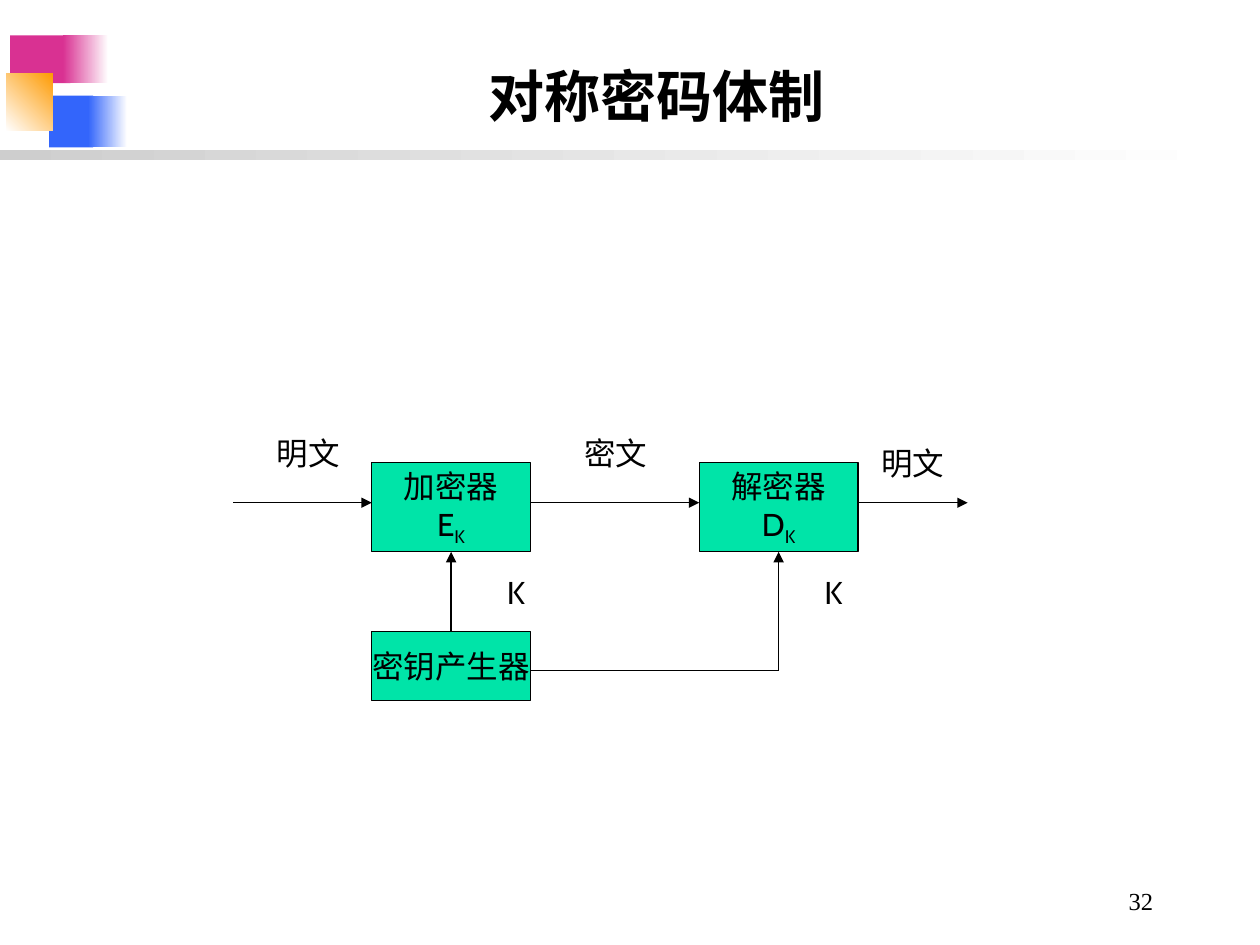
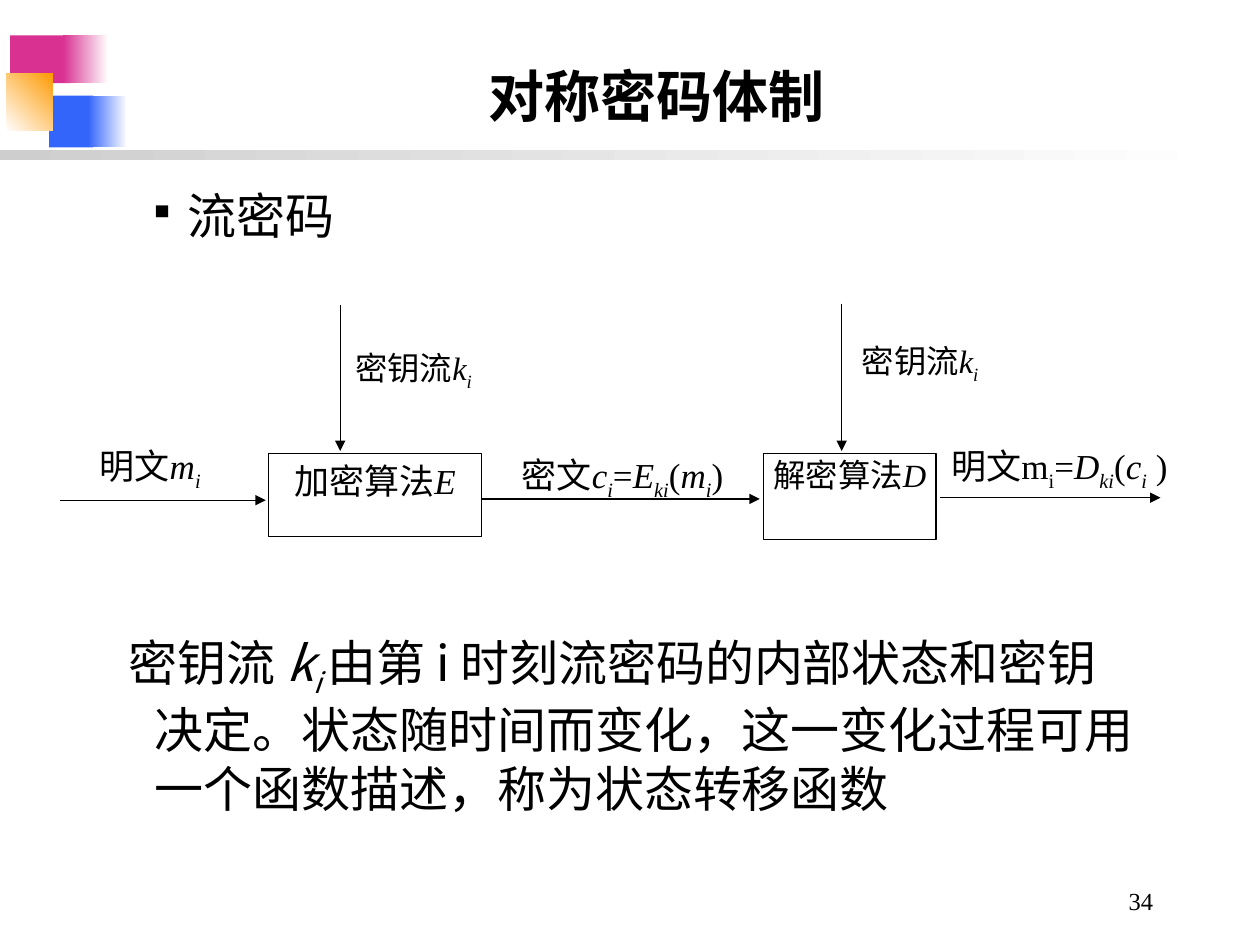
from lxml.etree import SubElement
from pptx import Presentation
from pptx.dml.color import RGBColor
from pptx.enum.shapes import MSO_CONNECTOR, MSO_SHAPE
from pptx.enum.text import MSO_ANCHOR, PP_ALIGN
from pptx.oxml.ns import qn
from pptx.util import Inches, Pt

BLACK = RGBColor(0, 0, 0)
WHITE = RGBColor(255, 255, 255)
PINK = RGBColor(0xD9, 0x31, 0x92)
BLUE = RGBColor(0x33, 0x65, 0xFB)
GOLD = RGBColor(0xFE, 0x9B, 0x03)
GREY = RGBColor(0xCE, 0xCE, 0xCE)
GREEN = RGBColor(0x00, 0xE4, 0xA8)

SERIF = "Times New Roman"
SANS = "Cabin"
HEAD = "Arial"
HAN = "Noto Sans CJK SC"

PLAIN, ITAL, SUB, ISUB = "", "i", "s", "is"


def place(box):
    return [Inches(n) for n in box]


def write(shape, lines, size, font, align=PP_ALIGN.CENTER, anchor=MSO_ANCHOR.TOP,
          inset=(0.1, 0.05), wrap=True, space=None, bold=False):
    frame = shape.text_frame
    frame.word_wrap = wrap
    frame.vertical_anchor = anchor
    frame.margin_left = frame.margin_right = Inches(inset[0])
    frame.margin_top = frame.margin_bottom = Inches(inset[1])
    for num, parts in enumerate(lines):
        para = frame.add_paragraph() if num else frame.paragraphs[0]
        para.alignment = align
        if space:
            para.line_spacing = space
        for text, style in parts:
            run = para.add_run()
            run.text = text
            face = run.font
            face.size, face.name, face.bold = Pt(size), font, bold
            face.italic = ITAL in style
            face.color.rgb = BLACK
            props = face._element
            SubElement(props, qn("a:ea")).set("typeface", HAN)
            if SUB in style:
                props.set("baseline", "-25000")
    return frame.paragraphs[0]


def add_text(slide, box, lines, size, font, **style):
    return write(slide.shapes.add_textbox(*place(box)), lines, size, font, **style)


def add_rect(slide, box, fill, fade=None, angle=0):
    rect = slide.shapes.add_shape(MSO_SHAPE.RECTANGLE, *place(box))
    rect.shadow.inherit = False
    rect.line.fill.background()
    if fade is None:
        rect.fill.solid()
        rect.fill.fore_color.rgb = fill
    else:
        rect.fill.gradient()
        rect.fill.gradient_angle = angle
        for stop, color in zip(rect.fill.gradient_stops, (fill, fade)):
            stop.color.rgb = color
    return rect


def add_node(slide, box, fill, lines, size, font, **style):
    node = add_rect(slide, box, fill)
    node.line.color.rgb = BLACK
    node.line.width = Pt(0.75)
    write(node, lines, size, font, **style)
    return node


def add_line(slide, start, end, arrow=True):
    line = slide.shapes.add_connector(MSO_CONNECTOR.STRAIGHT, *place(start + end))
    line.line.color.rgb = BLACK
    line.line.width = Pt(0.75)
    if arrow:
        SubElement(line.line._get_or_add_ln(), qn("a:tailEnd")).set("type", "triangle")
    SubElement(line._element.spPr, qn("a:effectLst"))
    return line


def add_base(deck, number):
    slide = deck.slides.add_slide(deck.slide_layouts[6])
    add_rect(slide, (0.08, 0.28, 0.48, 0.38), PINK)
    add_rect(slide, (0.5, 0.28, 0.36, 0.38), PINK, WHITE)
    add_rect(slide, (0.39, 0.76, 0.35, 0.41), BLUE)
    add_rect(slide, (0.7, 0.76, 0.31, 0.41), BLUE, WHITE)
    add_rect(slide, (0.05, 0.58, 0.37, 0.46), WHITE, GOLD, 45)
    add_rect(slide, (0, 1.19, 9.75, 0.08), GREY, WHITE)
    add_text(slide, (7.17, 6.98, 2.08, 0.36), [[(number, PLAIN)]], 14, SERIF,
             align=PP_ALIGN.RIGHT)
    add_text(slide, (0.92, 0.08, 8.58, 1), [[("对称密码体制", PLAIN)]], 32, HEAD,
             anchor=MSO_ANCHOR.BOTTOM, space=0.9, bold=True)
    return slide


def draw_keys(deck):
    slide = add_base(deck, "32")
    look = {"size": 18, "font": SANS, "anchor": MSO_ANCHOR.MIDDLE, "wrap": False}
    left, right, top, wide, high = 2.95, 5.55, 3.67, 1.26, 0.71
    flow, turn = 3.99, 5.32

    coders = []
    for x, name, sign in ((left, "加密器", "E"), (right, "解密器", "D")):
        lines = [[(name, PLAIN)], [(sign, PLAIN), ("K", SUB)]]
        coders.append(add_node(slide, (x, top, wide, high), GREEN, lines, **look))
    maker = add_node(slide, (left, 5.01, wide, 0.55), GREEN,
                     [[("密钥产生器", PLAIN)]], **look)

    for start, end in ((1.85, left), (left + wide, right), (right + wide, 7.68)):
        add_line(slide, (start, flow), (end, flow))
    mid = right + wide / 2
    rise = add_line(slide, (left + wide / 2, 5.01), (left + wide / 2, top + high))
    rise.begin_connect(maker, 0)
    rise.end_connect(coders[0], 2)
    add_line(slide, (left + wide, turn), (mid, turn), arrow=False)
    add_line(slide, (mid, turn), (mid, top + high)).end_connect(coders[1], 2)

    for x, y, text in ((2.09, 3.36, "明文"), (4.53, 3.36, "密文"), (6.89, 3.44, "明文"),
                       (3.74, 4.46, "K"), (6.26, 4.46, "K")):
        add_text(slide, (x, y, 0.71, 0.47), [[(text, PLAIN)]], **look)


def draw_stream(deck):
    slide = add_base(deck, "34")
    head = add_text(slide, (1.08, 1.48, 7.83, 0.7), [[("流密码", PLAIN)]], 28, HEAD,
                    align=PP_ALIGN.LEFT, space=0.9)
    head.space_before = Pt(10.5)
    props = head._p.get_or_add_pPr()
    props.set("marL", str(Inches(0.31)))
    props.set("indent", str(Inches(-0.31)))
    SubElement(SubElement(props, qn("a:buClr")), qn("a:srgbClr")).set("val", str(BLACK))
    SubElement(props, qn("a:buSzPct")).set("val", "75000")
    SubElement(props, qn("a:buChar")).set("char", "▪")

    for box, name, sign, size, space in (
            ((2.13, 3.6, 1.69, 0.66), "加密算法", "E", 20, None),
            ((6.06, 3.6, 1.37, 0.68), "解密算法", "D", 18.5, 0.9)):
        add_node(slide, box, WHITE, [[(name, PLAIN), (sign, ITAL)]], size, SERIF,
                 inset=(0.02, 0.05), space=space)

    for start, end in (((3.82, 3.96), (6.03, 3.96)), ((2.7, 2.42), (2.7, 3.58)),
                       ((6.68, 2.41), (6.68, 3.58)), ((0.48, 3.97), (2.11, 3.97)),
                       ((7.46, 3.95), (9.21, 3.95))):
        add_line(slide, start, end)

    key = [("密钥流", PLAIN), ("k", ITAL), ("i", ISUB)]
    plain = [("明文", PLAIN), ("m", ITAL), ("i", ISUB)]
    cipher = [("密文", PLAIN), ("c", ITAL), ("i", ISUB), ("=", PLAIN), ("E", ITAL),
              ("ki", ISUB), ("(", PLAIN), ("m", ITAL), ("i", ISUB), (")", PLAIN)]
    result = [("明文m", PLAIN), ("i", SUB), ("=", PLAIN), ("D", ITAL), ("ki", ISUB),
              ("(", PLAIN), ("c", ITAL), ("i", ISUB), (" )", PLAIN)]
    for box, parts, size, space in (
            ((0.79, 3.53, 1.02, 0.48), plain, 20, None),
            ((4.14, 3.6, 1.77, 0.48), cipher, 20, None),
            ((7.55, 3.53, 1.94, 0.55), result, 20, 0.96),
            ((2.82, 2.77, 1.06, 0.48), key, 18.5, 0.9),
            ((6.84, 2.71, 1.06, 0.48), key, 18.5, 0.9)):
        add_text(slide, box, [parts], size, SERIF, align=PP_ALIGN.JUSTIFY,
                 inset=(0, 0), space=space)

    note = [("密钥流 ", PLAIN), ("k", ITAL), ("i ", ISUB),
            ("由第 i 时刻流密码的内部状态和密钥决定。状态随时间而变化，"
             "这一变化过程可用一个函数描述，称为状态转移函数", PLAIN)]
    para = add_text(slide, (0.82, 4.97, 8.32, 1.56), [note], 28, HAN,
                    align=PP_ALIGN.LEFT)
    props = para._p.get_or_add_pPr()
    props.set("marL", str(Inches(0.31)))
    props.set("indent", str(Inches(-0.21)))


def main():
    deck = Presentation()
    deck.slide_width, deck.slide_height = Inches(10), Inches(7.5)
    draw_keys(deck)
    draw_stream(deck)
    deck.save("out.pptx")


if __name__ == "__main__":
    main()
